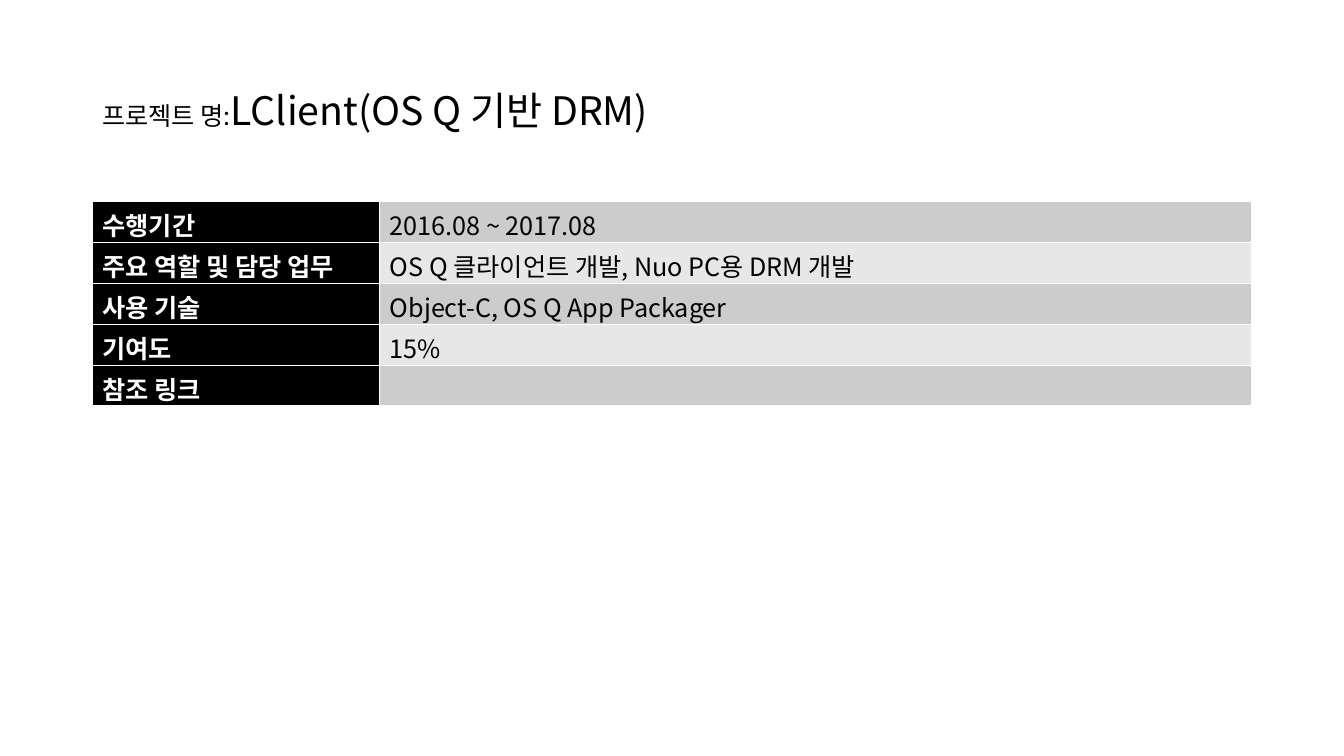
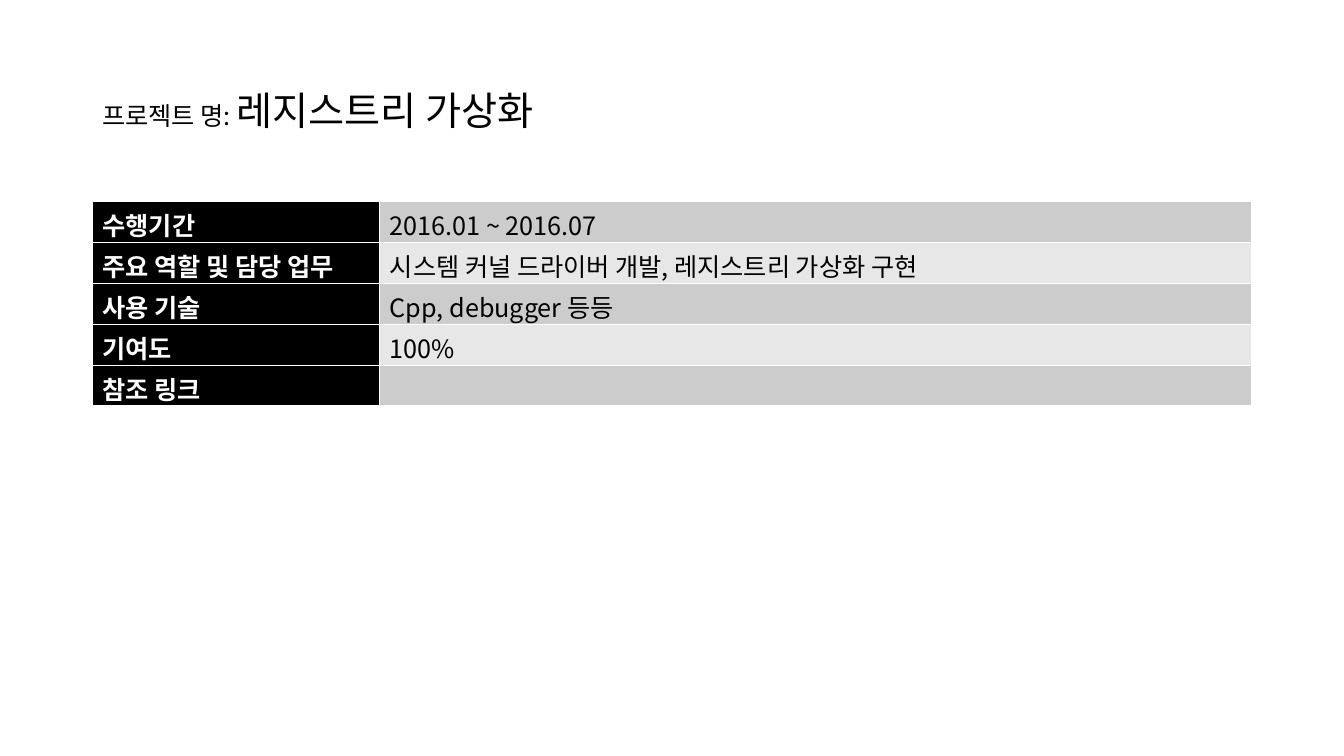
from dataclasses import dataclass

from lxml import etree
from pptx import Presentation
from pptx import util as u
from pptx.dml.color import RGBColor
from pptx.enum import text
from pptx.oxml import ns

FONT = "Noto Sans CJK KR"
BLACK, WHITE = "000000", "FFFFFF"
BANDS = ("CCCCCC", "E7E7E7")
LABELS = ("수행기간", "주요 역할 및 담당 업무", "사용 기술", "기여도", "참조 링크")
LEFT, WIDTH = u.Cm(2.33), u.Cm(29.21)
LABEL_WIDTH = u.Cm(7.24)
ROW_HEIGHT = u.Cm(1.03)


@dataclass(frozen=True)
class Project:
    prefix: str
    name: str
    values: tuple[str, ...]


PROJECTS = (
    Project("프로젝트 명:", "LClient(OS Q 기반 DRM)",
            ("2016.08 ~ 2017.08", "OS Q 클라이언트 개발, Nuo PC용 DRM 개발",
             "Object-C, OS Q App Packager", "15%", "")),
    Project("프로젝트 명: ", "레지스트리 가상화",
            ("2016.01 ~ 2016.07", "시스템 커널 드라이버 개발, 레지스트리 가상화 구현",
             "Cpp, debugger 등등", "100%", "")),
)


def rgb(color: str) -> RGBColor:
    return RGBColor.from_string(color)


def add_run(p, content: str, size: int = 18, color: str = BLACK, bold: bool = False) -> None:
    r = p.add_run()
    r.text = content
    for key, value in {"name": FONT, "size": u.Pt(size), "bold": bold}.items():
        setattr(r.font, key, value)
    r.font.color.rgb = rgb(color)
    etree.SubElement(r._r.get_or_add_rPr(), ns.qn("a:ea"), typeface=FONT)


def add_title(s, project: Project) -> None:
    tf = s.shapes.add_textbox(LEFT, u.Cm(1.01), WIDTH, u.Cm(3.68)).text_frame
    for key, value in {"word_wrap": True, "vertical_anchor": text.MSO_ANCHOR.MIDDLE}.items():
        setattr(tf, key, value)
    p = tf.paragraphs[0]
    p.line_spacing = 0.9
    add_run(p, project.prefix)
    add_run(p, project.name, size=28)


def fill_cell(cell, content: str, fill: str, color: str, bold: bool) -> None:
    cell.fill.solid()
    cell.fill.fore_color.rgb = rgb(fill)
    if content:
        add_run(cell.text_frame.paragraphs[0], content, color=color, bold=bold)


def add_details(s, project: Project) -> None:
    table = s.shapes.add_table(len(LABELS), 2, LEFT, u.Cm(5.08), WIDTH,
                               ROW_HEIGHT * len(LABELS)).table
    for key, value in {"first_row": False, "first_col": True, "horz_banding": True}.items():
        setattr(table, key, value)
    table.columns[0].width = LABEL_WIDTH
    table.columns[1].width = WIDTH - LABEL_WIDTH
    for i, (label, value) in enumerate(zip(LABELS, project.values)):
        fill_cell(table.cell(i, 0), label, BLACK, WHITE, True)
        fill_cell(table.cell(i, 1), value, BANDS[i % 2], BLACK, False)


def main() -> None:
    prs = Presentation()
    prs.slide_width, prs.slide_height = u.Cm(33.87), u.Cm(19.05)
    for project in PROJECTS:
        s = prs.slides.add_slide(prs.slide_layouts[6])
        add_title(s, project)
        add_details(s, project)
    prs.save("out.pptx")


if __name__ == "__main__":
    main()
